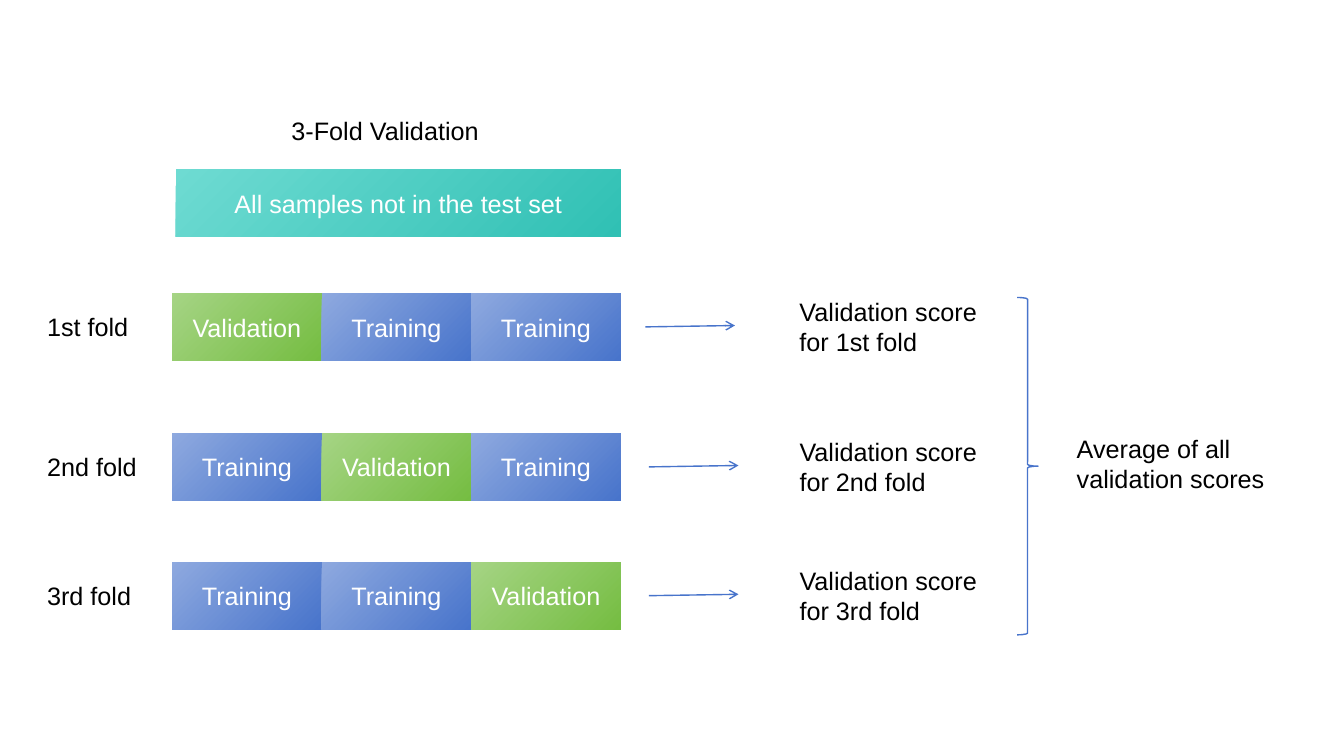
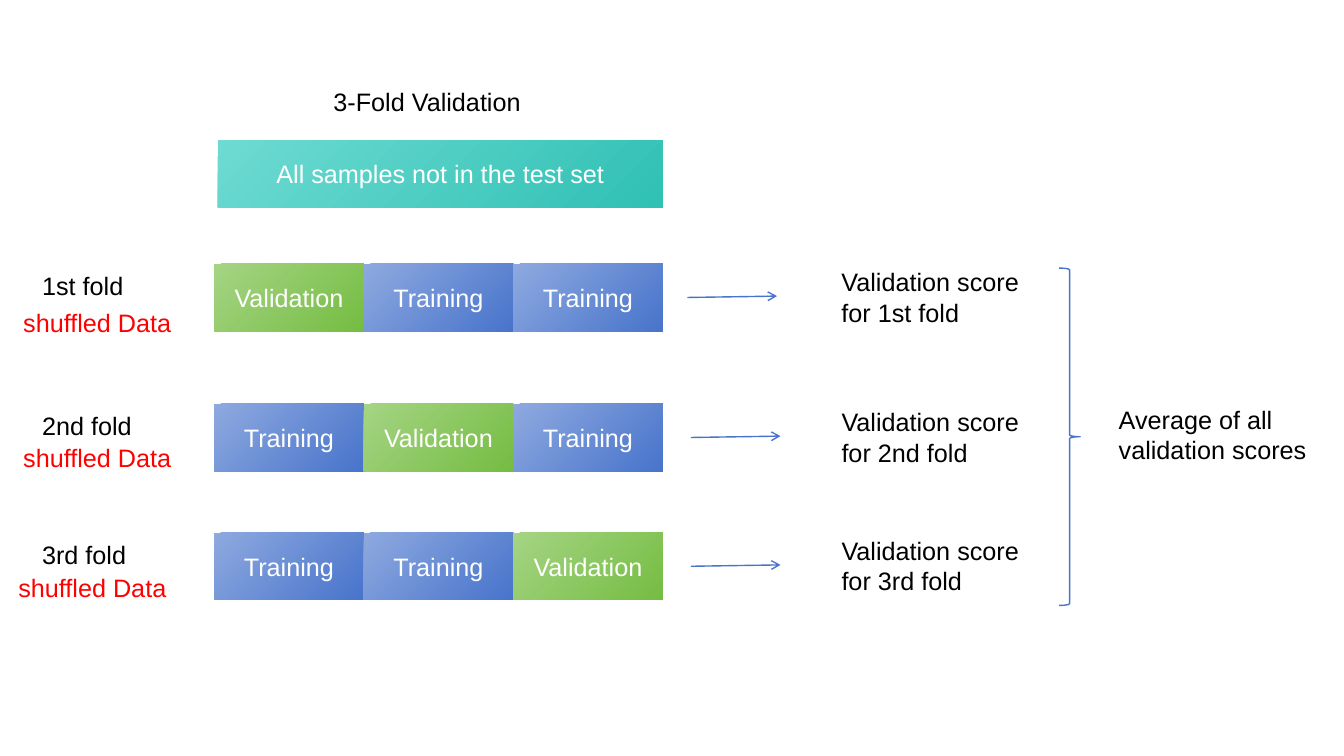
"""Build two slides that explain 3-fold validation, without and with shuffled data."""
from lxml import etree
from pptx import Presentation
from pptx import util as u
from pptx.dml.color import RGBColor
from pptx.enum import shapes, text
from pptx.oxml.ns import qn

COLORS = {"ink": "000000", "light": "FFFFFF", "alert": "FF0000", "line": "4874CB"}
GRADIENTS = {
    "Validation": ("A5D484", "75BD42"),
    "Training": ("8EA9DF", "4874CB"),
    "All samples not in the test set": ("6EDBD2", "30C0B4"),
}
FONT = {"name": "Arial", "size": u.Pt(18), "bold": False}
LABEL_FRAME = {
    "word_wrap": True,
    "auto_size": text.MSO_AUTO_SIZE.NONE,
    "vertical_anchor": text.MSO_ANCHOR.TOP,
}
BLOCK_FRAME = LABEL_FRAME | {"vertical_anchor": text.MSO_ANCHOR.MIDDLE}

FOLDS = ("1st", "2nd", "3rd")
ROW_TOPS = (209.5, 309.5, 401.5)
ARROW_LEFTS = (461, 463.5, 463.5)
SCORE_WIDTHS = (152.5, 142.5, 142.5)
CELL_LEFT, CELL_WIDTH, CELL_HEIGHT = 123, 106.8, 48
VARIANTS = (
    {"dx": 0, "dy": 0, "label_left": 26.5, "label_drop": 9.5, "notes": ()},
    {"dx": 30, "dy": -21, "label_left": 23, "label_drop": 1,
     "notes": ((9.5, 27.5), (9.5, 24), (6, 25))},
)


def write(box, content, color="ink", align=text.PP_ALIGN.LEFT, frame_format=LABEL_FRAME):
    for name, value in frame_format.items():
        setattr(box.text_frame, name, value)
    para = box.text_frame.paragraphs[0]
    para.alignment = align
    span = para.add_run()
    span.text = content
    for name, value in FONT.items():
        setattr(span.font, name, value)
    span.font.color.rgb = RGBColor.from_string(COLORS[color])


def add_block(page, content, left, top, width):
    block = page.shapes.add_shape(
        shapes.MSO_SHAPE.RECTANGLE, *map(u.Pt, (left, top, width, CELL_HEIGHT)))
    block.shadow.inherit = False
    block.line.fill.background()
    block.fill.gradient()
    block.fill.gradient_angle = 315
    for stop, color in zip(block.fill.gradient_stops, GRADIENTS[content]):
        stop.color.rgb = RGBColor.from_string(color)
    write(block, content, "light", text.PP_ALIGN.CENTER, BLOCK_FRAME)


deck = Presentation()
deck.slide_width, deck.slide_height = u.Pt(960), u.Pt(540)

for variant in VARIANTS:
    page = deck.slides.add_slide(deck.slide_layouts[5])
    dx, dy = variant["dx"], variant["dy"]

    title = page.shapes.title
    title.left, title.top, title.width, title.height = map(
        u.Pt, (201 + dx, 79 + dy, 211, 29))
    write(title, "3-Fold Validation")
    add_block(page, "All samples not in the test set", 125.5 + dx, 121 + dy, 318)

    labels = [("Average of all validation scores", 762 + dx, 306 + dy, 162, 51, "ink")]
    for row, fold in enumerate(FOLDS):
        top = ROW_TOPS[row] + dy
        for column in range(len(FOLDS)):
            content = "Validation" if column == row else "Training"
            add_block(page, content, CELL_LEFT + dx + column * CELL_WIDTH, top, CELL_WIDTH)

        start = ARROW_LEFTS[row] + dx
        arrow = page.shapes.add_connector(
            shapes.MSO_CONNECTOR.STRAIGHT,
            *map(u.Pt, (start, top + 24, start + 64, top + 23)))
        arrow.line.color.rgb = RGBColor.from_string(COLORS["line"])
        arrow.line.width = u.Pt(1)
        properties = arrow.element.spPr
        etree.SubElement(properties.find(qn("a:ln")), qn("a:tailEnd"), type="arrow")
        etree.SubElement(properties, qn("a:effectLst"))

        labels += [
            (f"{fold} fold", variant["label_left"], top + variant["label_drop"], 110, 29, "ink"),
            (f"Validation score for {fold} fold", 564 + dx, top - 1.5,
             SCORE_WIDTHS[row], 51, "ink"),
        ]
    for row_top, (left, drop) in zip(ROW_TOPS, variant["notes"]):
        labels.append(("shuffled Data", left, row_top + dy + drop, 225, 29, "alert"))

    for content, left, top, width, height, color in labels:
        box = page.shapes.add_textbox(*map(u.Pt, (left, top, width, height)))
        write(box, content, color)

    brace = page.shapes.add_shape(
        shapes.MSO_SHAPE.RIGHT_BRACE, *map(u.Pt, (726.5 + dx, 212.5 + dy, 15, 241)))
    brace.shadow.inherit = False
    brace.fill.background()
    brace.line.color.rgb = RGBColor.from_string(COLORS["line"])
    brace.line.width = u.Pt(1)

deck.save("out.pptx")
